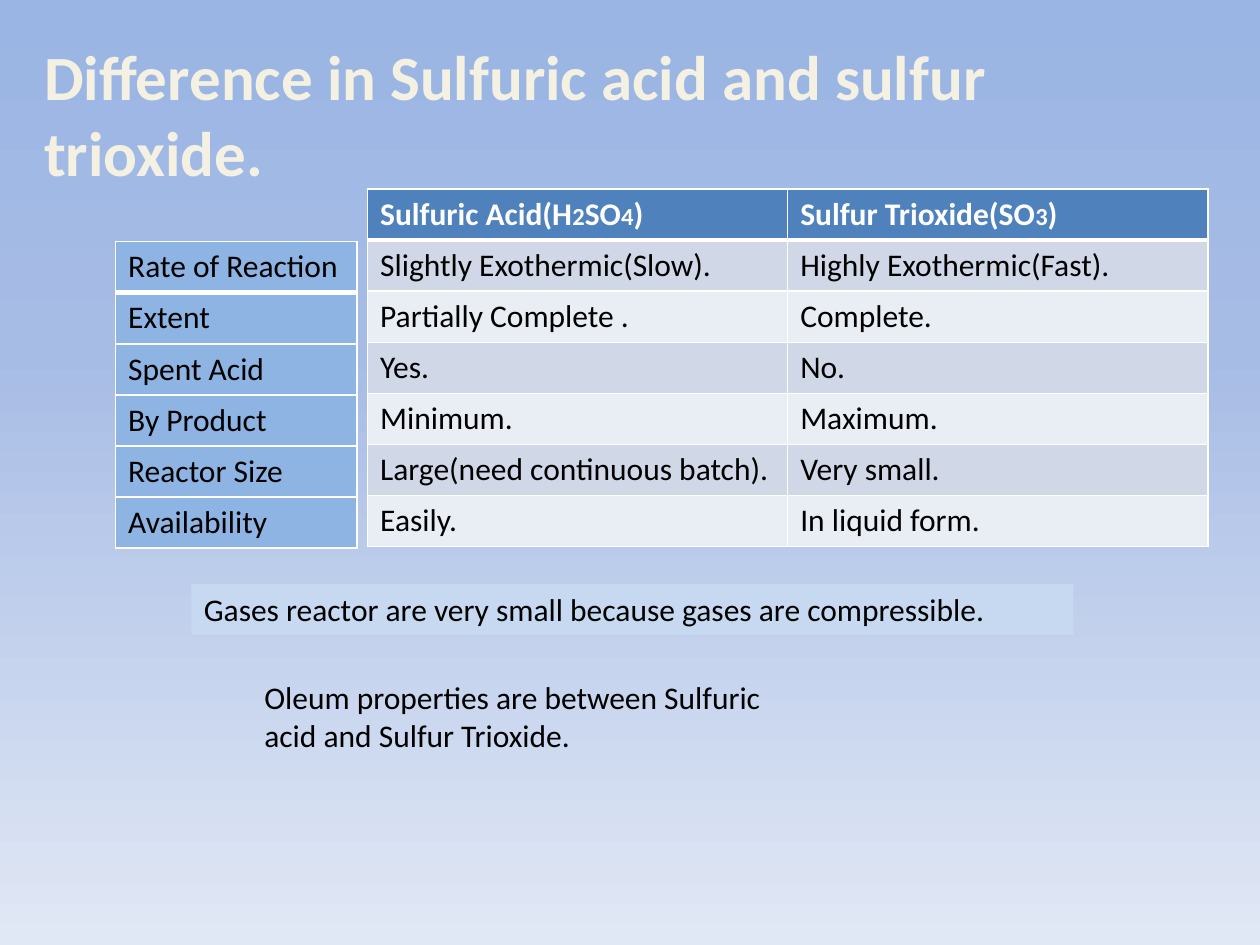
from copy import deepcopy

from lxml import etree
from pptx import Presentation
from pptx.dml.color import RGBColor
from pptx.enum.shapes import MSO_SHAPE
from pptx.enum.text import MSO_ANCHOR, PP_ALIGN
from pptx.oxml.ns import qn
from pptx.util import Cm, Pt

RECTANGLE = MSO_SHAPE.RECTANGLE
LEFT = PP_ALIGN.LEFT
TOP = MSO_ANCHOR.TOP

COLORS = {
    "sky_top": "9AB5E4", "sky_middle": "A7BCE5", "sky_bottom": "E1E8F5",
    "header": "4F81BD", "band_dark": "D0D8E8", "band_light": "E9EDF4",
    "label": "8EB4E3", "note": "C6D9F1", "title": "F4F1E3",
    "title_edge": "054697", "white": "FFFFFF", "black": "000000",
}
ROW_HEIGHT = 1.03


class SlideBuilder:
    font = "Calibri"
    size = 18
    small_size = 14

    def __init__(self, slide):
        self.slide = slide

    def color(self, name):
        return RGBColor.from_string(COLORS[name])

    def background(self, stops):
        fill = self.slide.background.fill
        fill.gradient()
        fill.gradient_angle = 270
        stop_list = self.slide.background._cSld.find(".//" + qn("a:gsLst"))
        stop_list.insert(1, deepcopy(stop_list[0]))
        for stop, (position, name) in zip(fill.gradient_stops, stops):
            stop.position = position
            stop.color.rgb = self.color(name)

    def line(self, parent, tag, points, name):
        line = etree.SubElement(parent, qn(tag), w=str(Pt(points)))
        solid = etree.SubElement(line, qn("a:solidFill"))
        etree.SubElement(solid, qn("a:srgbClr"), val=COLORS[name])
        return line

    def add_runs(self, frame, parts, color="black", bold=False, size=None):
        frame.word_wrap = True
        paragraph = frame.paragraphs[0]
        paragraph.alignment = LEFT
        for part in parts:
            run = paragraph.add_run()
            run.text = part
            run.font.name = self.font
            run.font.size = Pt(self.small_size if part.isdigit() else size or self.size)
            run.font.bold = bold
            run.font.color.rgb = self.color(color)
        return paragraph

    def text(self, box, content, **style):
        frame = self.slide.shapes.add_textbox(*map(Cm, box)).text_frame
        return self.add_runs(frame, [content], **style)

    def outlined_title(self, box, content):
        title = self.text(box, content, color="title", bold=True, size=36)
        for run in title.runs:
            properties = run.font._element
            properties.insert(0, self.line(properties, "a:ln", 1, "title_edge"))

    def banner(self, box, content, fill):
        banner = self.slide.shapes.add_shape(RECTANGLE, *map(Cm, box))
        banner.shadow.inherit = False
        banner.fill.solid()
        banner.fill.fore_color.rgb = self.color(fill)
        banner.line.fill.background()
        banner.text_frame.vertical_anchor = TOP
        self.add_runs(banner.text_frame, [content])

    def table(self, left, top, column_width, rows, fills, header=False):
        columns = len(rows[0])
        table = self.slide.shapes.add_table(
            len(rows), columns, Cm(left), Cm(top),
            Cm(column_width * columns), Cm(ROW_HEIGHT * len(rows))).table
        table.first_row = header
        table.horz_banding = False
        for column in table.columns:
            column.width = Cm(column_width)
        for index, (row, fill) in enumerate(zip(rows, fills)):
            table.rows[index].height = Cm(ROW_HEIGHT)
            is_header = header and index == 0
            for cell, parts in zip(table.rows[index].cells, row):
                self.add_runs(cell.text_frame, parts,
                              color="white" if is_header else "black", bold=is_header)
                self.borders(cell, index == 0)
                cell.fill.solid()
                cell.fill.fore_color.rgb = self.color(fill)

    def borders(self, cell, is_first):
        properties = cell._tc.get_or_add_tcPr()
        for side in "LRTB" if is_first else "LRB":
            points = 3 if is_first and side == "B" else 1
            self.line(properties, "a:ln" + side, points, "white")


def main():
    deck = Presentation()
    deck.slide_width = Cm(25.4)
    deck.slide_height = Cm(19.05)
    builder = SlideBuilder(deck.slides.add_slide(deck.slide_layouts[6]))
    builder.background([(0, "sky_top"), (0.37, "sky_middle"), (1, "sky_bottom")])

    acids = [
        (["Sulfuric Acid(H", "2", "SO", "4", ")"], ["Sulfur Trioxide(SO", "3", ")"]),
        (["Slightly Exothermic(Slow)."], ["Highly Exothermic(Fast)."]),
        (["Partially Complete ."], ["Complete."]),
        (["Yes."], ["No."]),
        (["Minimum."], ["Maximum."]),
        (["Large(need continuous batch)."], ["Very small."]),
        (["Easily."], ["In liquid form."]),
    ]
    properties = ["Rate of Reaction", "Extent", "Spent Acid",
                  "By Product", "Reactor Size", "Availability"]
    builder.table(7.41, 3.81, 8.47, acids,
                  ["header"] + ["band_dark", "band_light"] * 3, header=True)
    builder.table(2.33, 4.87, 4.87, [([name],) for name in properties],
                  ["label"] * len(properties))
    builder.banner((3.86, 11.77, 17.78, 1.03),
                   "Gases reactor are very small because gases are compressible.", "note")
    builder.text((5.08, 13.55, 11.64, 1.8),
                 "Oleum properties are between Sulfuric acid and Sulfur Trioxide.")
    builder.outlined_title((0.64, 0.64, 23.92, 3.33),
                           "Difference in Sulfuric acid and sulfur trioxide.")
    deck.save("out.pptx")


if __name__ == "__main__":
    main()
